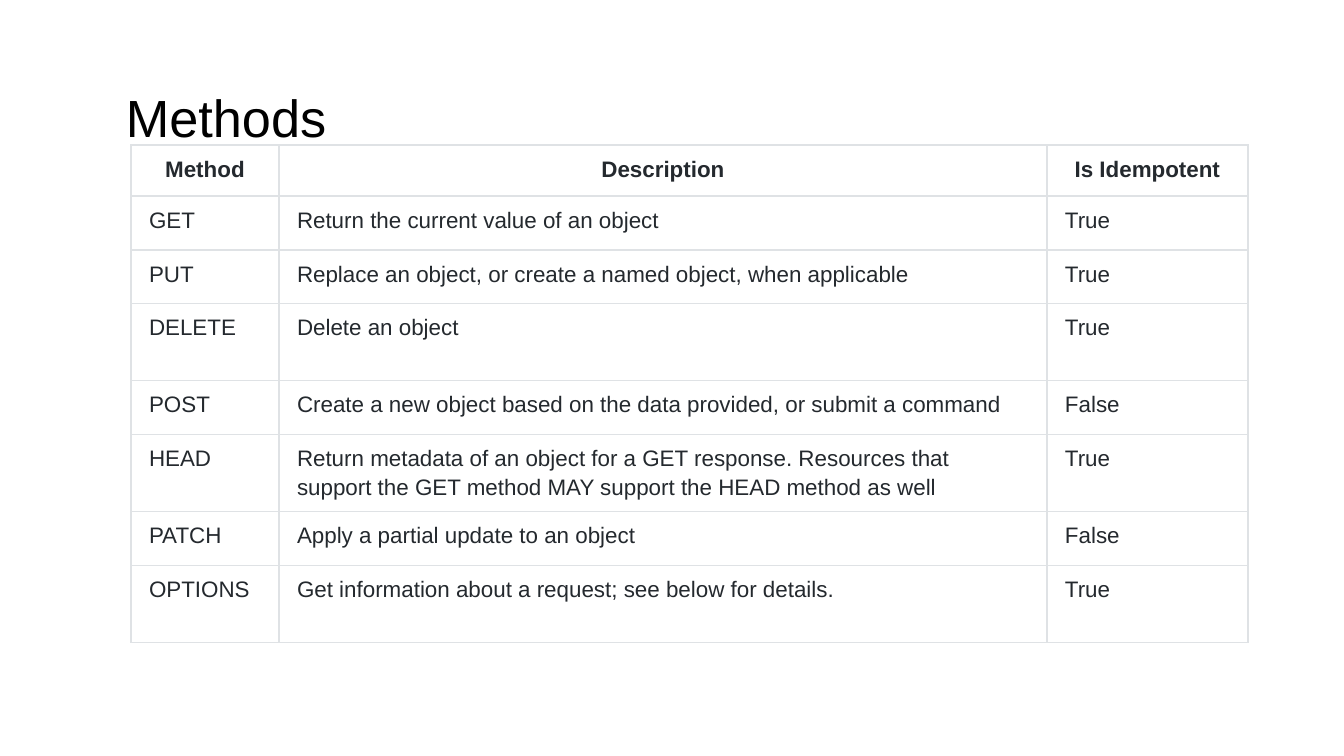
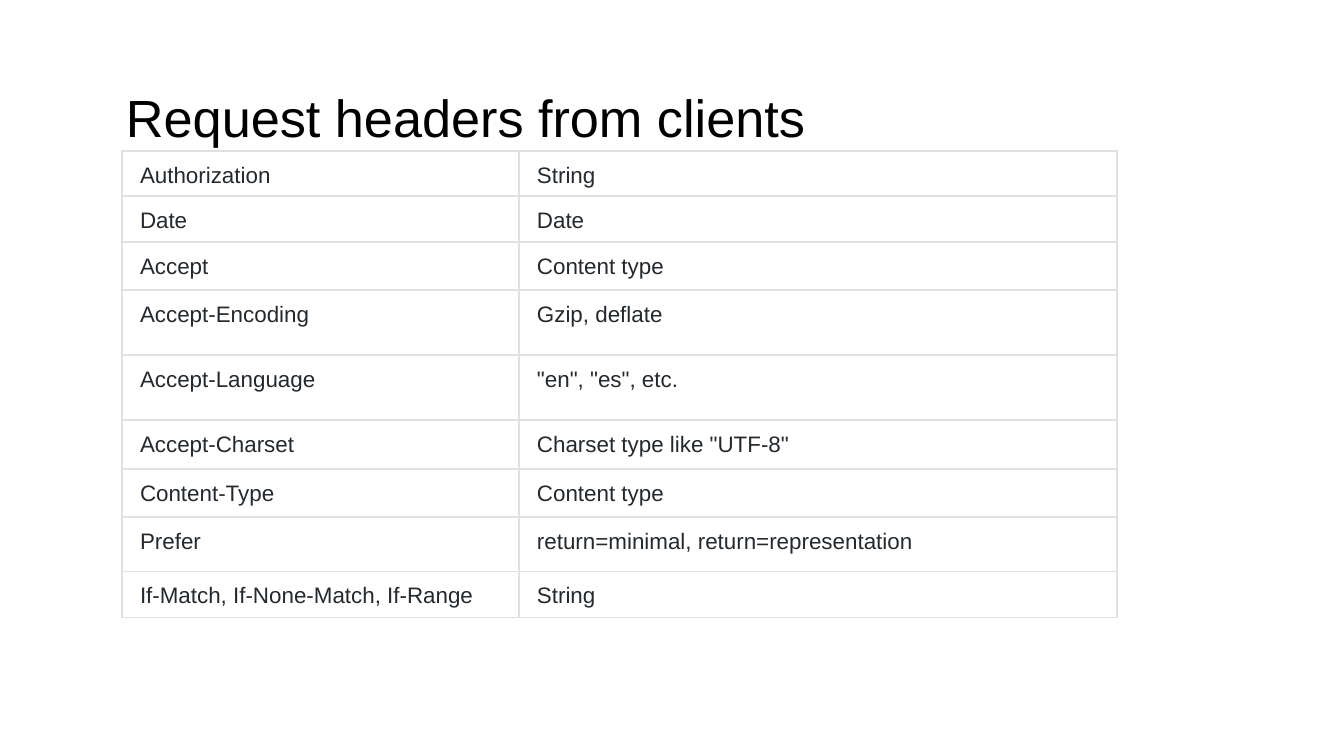
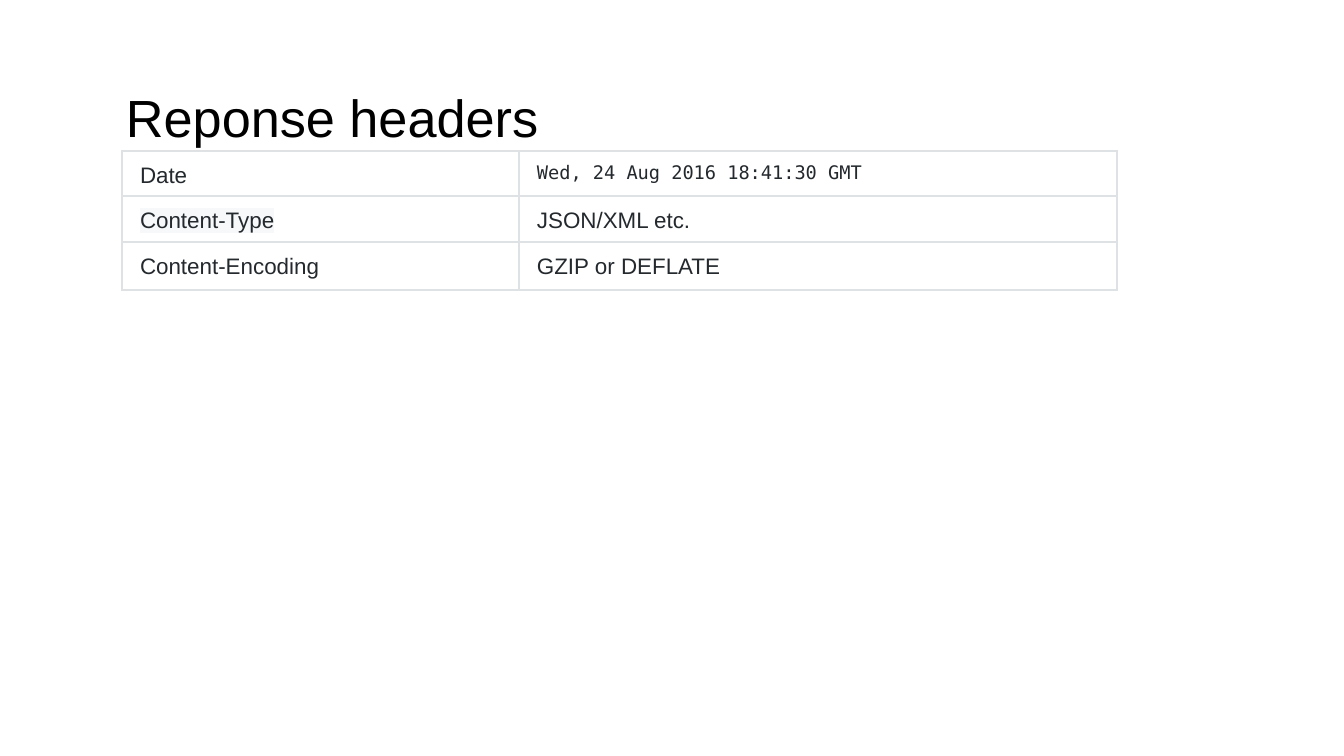
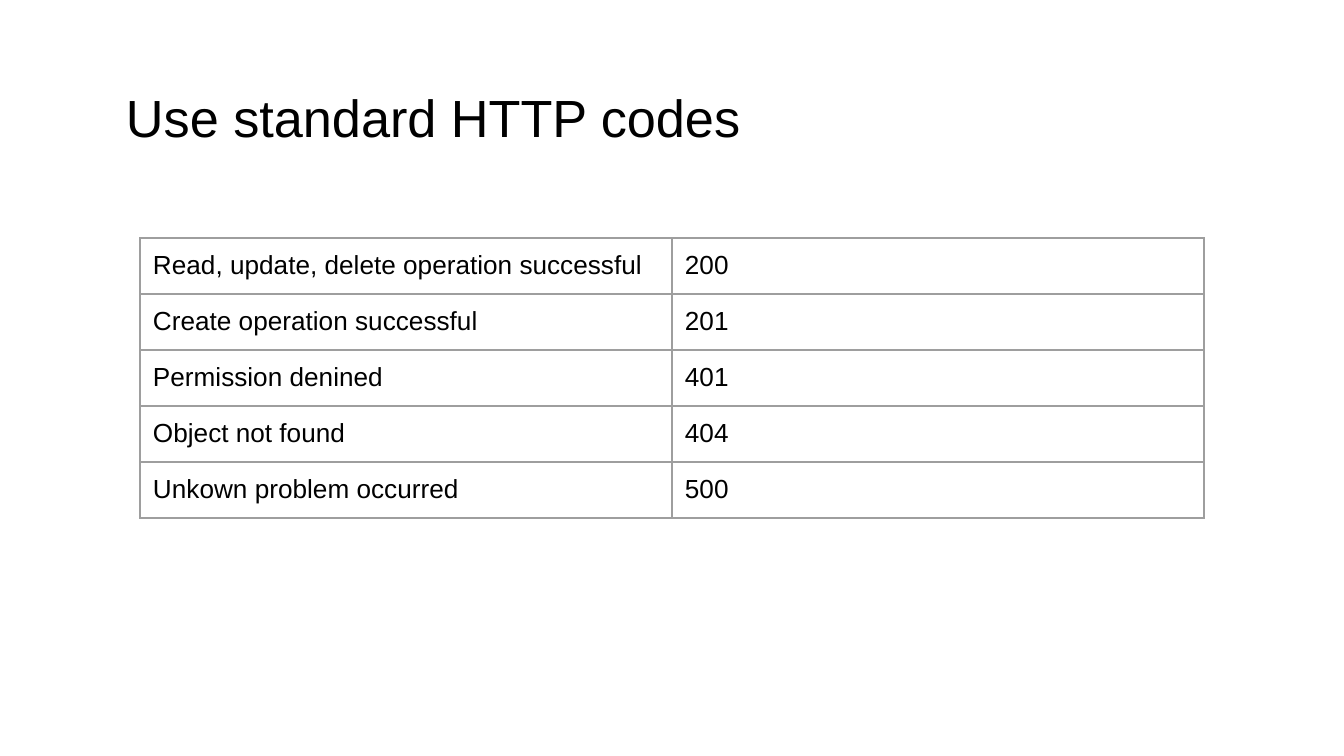
"""Builds four slides of REST API reference tables."""
import pptx
import pptx.dml.color
import pptx.enum.text
import pptx.oxml
import pptx.oxml.ns
import pptx.util

COLORS = {
    "title": "000000",
    "ink": "24292E",
    "black": "000000",
    "code_back": "F6F8FA",
    "pale_line": "DFE2E5",
    "grey_line": "9E9E9E",
}
FONT = "Arial"
CODE_FONT = "DejaVu Sans Mono"

REFERENCE = {"ink": "ink", "line": "pale_line", "size": 12, "margins": (18, 8),
             "spacing": 1.15, "after": 12}
PLAIN = {"ink": "black", "line": "grey_line", "size": 14, "margins": (13, 13),
         "spacing": 1.0, "after": 0}

SLIDES = [
    {
        "title": "Methods", "style": REFERENCE, "header": True,
        "corner": (131, 145), "columns": (148, 768, 201),
        "heights": (51, 54, 54, 77, 54, 77, 54, 77),
        "rows": [
            ("Method", "Description", "Is Idempotent"),
            ("GET", "Return the current value of an object", "True"),
            ("PUT", "Replace an object, or create a named object, when applicable", "True"),
            ("DELETE", "Delete an object", "True"),
            ("POST", "Create a new object based on the data provided, or submit a command", "False"),
            ("HEAD", "Return metadata of an object for a GET response. Resources that "
                     "support the GET method MAY support the HEAD method as well", "True"),
            ("PATCH", "Apply a partial update to an object", "False"),
            ("OPTIONS", "Get information about a request; see below for details.", "True"),
        ],
    },
    {
        "title": "Request headers from clients", "style": REFERENCE,
        "corner": (122, 151), "columns": (397, 598),
        "heights": (45, 46, 48, 65, 65, 49, 48, 55, 46),
        "rows": [
            ("Authorization", "String"),
            ("Date", "Date"),
            ("Accept", "Content type"),
            ("Accept-Encoding", "Gzip, deflate"),
            ("Accept-Language", '"en", "es", etc.'),
            ("Accept-Charset", 'Charset type like "UTF-8"'),
            ("Content-Type", "Content type"),
            ("Prefer", "return=minimal, return=representation"),
            ("If-Match, If-None-Match, If-Range", "String"),
        ],
    },
    {
        "title": "Reponse headers", "style": REFERENCE,
        "corner": (122, 151), "columns": (397, 598), "heights": (45, 46, 48),
        "code": (0, 1), "highlight": (1, 0),
        "rows": [
            ("Date", "Wed, 24 Aug 2016 18:41:30 GMT"),
            ("Content-Type", "JSON/XML etc."),
            ("Content-Encoding", "GZIP or DEFLATE"),
        ],
    },
    {
        "title": "Use standard HTTP codes", "style": PLAIN,
        "corner": (140, 238), "columns": (532, 532), "heights": (56,) * 5,
        "rows": [
            ("Read, update, delete operation successful", "200"),
            ("Create operation successful", "201"),
            ("Permission denined", "401"),
            ("Object not found", "404"),
            ("Unkown problem occurred", "500"),
        ],
    },
]


def px(length):
    return pptx.util.Emu(round(length * 914400 / 134.4))


def set_font(font, name, size, color, bold=False):
    font.name, font.size, font.bold = name, pptx.util.Pt(size), bold
    font.color.rgb = pptx.dml.color.RGBColor.from_string(COLORS[color])


def xml_element(tag, body, attributes=""):
    return pptx.oxml.parse_xml(
        f'<a:{tag} {pptx.oxml.ns.nsdecls("a")} {attributes}>{body}</a:{tag}>')


def set_title(slide, text):
    title = slide.shapes.title
    title.left, title.top, title.width, title.height = map(px, (46, 66, 1253, 85))
    frame = title.text_frame
    frame.text = text
    frame.word_wrap = True
    frame.auto_size = pptx.enum.text.MSO_AUTO_SIZE.NONE
    frame.vertical_anchor = pptx.enum.text.MSO_ANCHOR.TOP
    frame.margin_left = frame.margin_right = px(13)
    frame.margin_top, frame.margin_bottom = px(19), px(0)
    paragraph = frame.paragraphs[0]
    paragraph.alignment = pptx.enum.text.PP_ALIGN.LEFT
    set_font(paragraph.font, FONT, 28, "title")
    properties = paragraph._p.get_or_add_pPr()
    properties.set("marL", str(px(67)))
    properties.set("indent", "0")


def set_borders(cell, color):
    properties = cell._tc.get_or_add_tcPr()
    fill = f'<a:solidFill><a:srgbClr val="{COLORS[color]}"/></a:solidFill>'
    for tag in ("lnL", "lnR", "lnT", "lnB"):
        properties.append(xml_element(tag, fill, f'w="{pptx.util.Pt(0.75)}"'))


def fill_cell(cell, text, style, is_header, is_code, is_highlighted):
    side, top = style["margins"]
    cell.margin_left = cell.margin_right = px(side)
    cell.margin_top = cell.margin_bottom = px(top)
    set_borders(cell, style["line"])
    cell.fill.background()
    cell.text = text
    paragraph = cell.text_frame.paragraphs[0]
    align = pptx.enum.text.PP_ALIGN
    paragraph.alignment = align.CENTER if is_header else align.LEFT
    paragraph.line_spacing = style["spacing"]
    paragraph.space_after = pptx.util.Pt(style["after"])
    name, size = (CODE_FONT, 10) if is_code else (FONT, style["size"])
    set_font(paragraph.font, name, size, style["ink"], is_header)
    if is_highlighted:
        color = f'<a:srgbClr val="{COLORS["code_back"]}"/>'
        paragraph.runs[0]._r.get_or_add_rPr().append(xml_element("highlight", color))


def add_grid(slide, content):
    rows, columns, heights = content["rows"], content["columns"], content["heights"]
    bounds = (*content["corner"], sum(columns), sum(heights))
    table = slide.shapes.add_table(len(rows), len(columns), *map(px, bounds)).table
    table.first_row = table.horz_banding = False
    for column, width in zip(table.columns, columns):
        column.width = px(width)
    for row, height in zip(table.rows, heights):
        row.height = px(height)
    for r, row in enumerate(rows):
        for c, text in enumerate(row):
            fill_cell(table.cell(r, c), text, content["style"],
                      r == 0 and content.get("header", False),
                      (r, c) == content.get("code"),
                      (r, c) == content.get("highlight"))


presentation = pptx.Presentation()
presentation.slide_width, presentation.slide_height = px(1344), px(756)
for content in SLIDES:
    slide = presentation.slides.add_slide(presentation.slide_layouts[5])
    set_title(slide, content["title"])
    add_grid(slide, content)
presentation.save("out.pptx")
